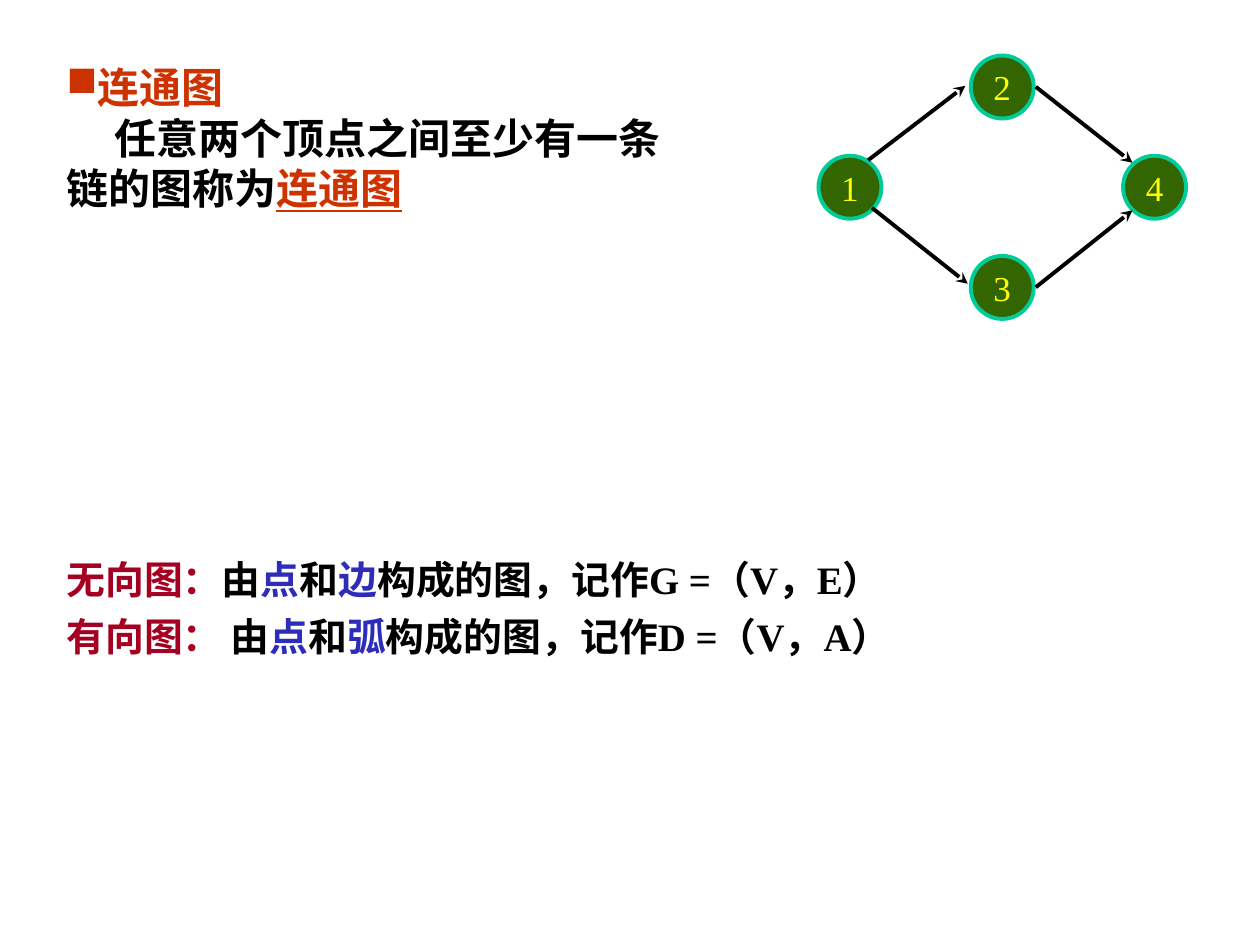
from typing import NamedTuple

import lxml.etree
import pptx
import pptx.dml.color
import pptx.enum.shapes
import pptx.enum.text
import pptx.oxml.ns
import pptx.util

Cm = pptx.util.Cm
Pt = pptx.util.Pt
qn = pptx.oxml.ns.qn

COLOURS = {
    "black": "000000", "white": "FFFFFF", "orange": "CC3300", "crimson": "A50021",
    "blue": "2D2DB9", "green": "336600", "teal": "00CC99", "yellow": "FFFF00",
}
FONT = "Times New Roman"
NODE_SIZE = 1.27
GRID_LEFT, GRID_TOP = 16.5, 1.12
COLUMN_STEP, ROW_STEP = 3.07, 2.02


class Span(NamedTuple):
    text: str
    colour: str = "black"
    underline: bool = False


class Node(NamedTuple):
    label: str
    column: int
    row: int


class Arc(NamedTuple):
    start: tuple[float, float]
    end: tuple[float, float]


NODES = [Node("4", 2, 1), Node("2", 1, 0), Node("3", 1, 2), Node("1", 0, 1)]
ARCS = [
    Arc((17.5, 3.23), (19.46, 1.73)),
    Arc((20.88, 1.75), (22.83, 3.28)),
    Arc((17.58, 4.19), (19.51, 5.72)),
    Arc((20.88, 5.79), (22.83, 4.24)),
]


def rgb(name: str) -> pptx.dml.color.RGBColor:
    return pptx.dml.color.RGBColor.from_string(COLOURS[name])


def add_spans(para, spans: list[Span], size: float, bold: bool = True) -> None:
    for span in spans:
        run = para.add_run()
        run.text = span.text
        run.font.name = FONT
        run.font.size = Pt(size)
        run.font.bold = bold
        run.font.underline = span.underline
        run.font.color.rgb = rgb(span.colour)


def add_bullet(para, symbol: str, colour: str) -> None:
    properties = para._p.get_or_add_pPr()
    holder = lxml.etree.SubElement(properties, qn("a:buClr"))
    lxml.etree.SubElement(holder, qn("a:srgbClr"), val=COLOURS[colour])
    lxml.etree.SubElement(properties, qn("a:buChar"), char=symbol)


def set_indent(para, left: float, first: float) -> None:
    properties = para._p.get_or_add_pPr()
    properties.set("marL", str(Cm(left)))
    properties.set("indent", str(Cm(first)))


def add_definition(page) -> None:
    box = page.shapes.add_textbox(Cm(1.09), Cm(1.12), Cm(12.9), Cm(3.3))
    box.text_frame.word_wrap = True
    heading = box.text_frame.paragraphs[0]
    add_bullet(heading, "■", "orange")
    add_spans(heading, [Span("连通图", "orange")], 24)
    body = box.text_frame.add_paragraph()
    set_indent(body, 0, 0.97)
    add_spans(body, [Span("任意两个顶点之间至少有一条链的图称为"),
                     Span("连通图", "orange", True)], 24)


def add_node(page, node: Node) -> None:
    circle = page.shapes.add_shape(
        pptx.enum.shapes.MSO_SHAPE.OVAL,
        Cm(GRID_LEFT + node.column * COLUMN_STEP), Cm(GRID_TOP + node.row * ROW_STEP),
        Cm(NODE_SIZE), Cm(NODE_SIZE))
    circle.shadow.inherit = False
    circle.fill.solid()
    circle.fill.fore_color.rgb = rgb("green")
    circle.line.color.rgb = rgb("teal")
    circle.line.width = Pt(2.25)
    frame = circle.text_frame
    frame.word_wrap = False
    frame.vertical_anchor = pptx.enum.text.MSO_ANCHOR.MIDDLE
    para = frame.paragraphs[0]
    para.alignment = pptx.enum.text.PP_ALIGN.CENTER
    add_spans(para, [Span(node.label, "yellow")], 20, bold=False)


def add_arc(page, arc: Arc) -> None:
    line = page.shapes.add_connector(
        pptx.enum.shapes.MSO_CONNECTOR.STRAIGHT,
        *(Cm(value) for value in arc.start + arc.end))
    line.line.color.rgb = rgb("black")
    line.line.width = Pt(2.25)
    lxml.etree.SubElement(line.line._get_or_add_ln(), qn("a:tailEnd"), type="stealth")
    lxml.etree.SubElement(line._element.spPr, qn("a:effectLst"))


def add_notation(page) -> None:
    box = page.shapes.add_shape(pptx.enum.shapes.MSO_SHAPE.RECTANGLE,
                                Cm(1.09), Cm(11.33), Cm(19.46), Cm(3))
    box.shadow.inherit = False
    box.fill.solid()
    box.fill.fore_color.rgb = rgb("white")
    box.line.fill.background()
    frame = box.text_frame
    frame.word_wrap = True
    frame.vertical_anchor = pptx.enum.text.MSO_ANCHOR.TOP
    rows = [("无向图：", "边", "G =（V，E）"), ("有向图： ", "弧", "D =（V，A）")]
    for index, (term, link, formula) in enumerate(rows):
        para = frame.add_paragraph() if index else frame.paragraphs[0]
        para.alignment = pptx.enum.text.PP_ALIGN.LEFT
        para.line_spacing = 0.7
        if index:
            para.space_before = Pt(14)
        set_indent(para, 0.97, -0.97)
        add_spans(para, [Span(term, "crimson"), Span("由"), Span("点", "blue"),
                         Span("和"), Span(link, "blue"),
                         Span("构成的图，记作" + formula)], 22.2)


def main() -> None:
    deck = pptx.Presentation()
    deck.slide_width, deck.slide_height = Cm(25.4), Cm(19.05)
    page = deck.slides.add_slide(deck.slide_layouts[6])
    # Definition of a connected graph
    add_definition(page)
    # Example graph
    for node in NODES:
        add_node(page, node)
    for arc in ARCS:
        add_arc(page, arc)
    # Notation for both kinds of graph
    add_notation(page)
    deck.save("out.pptx")


if __name__ == "__main__":
    main()
